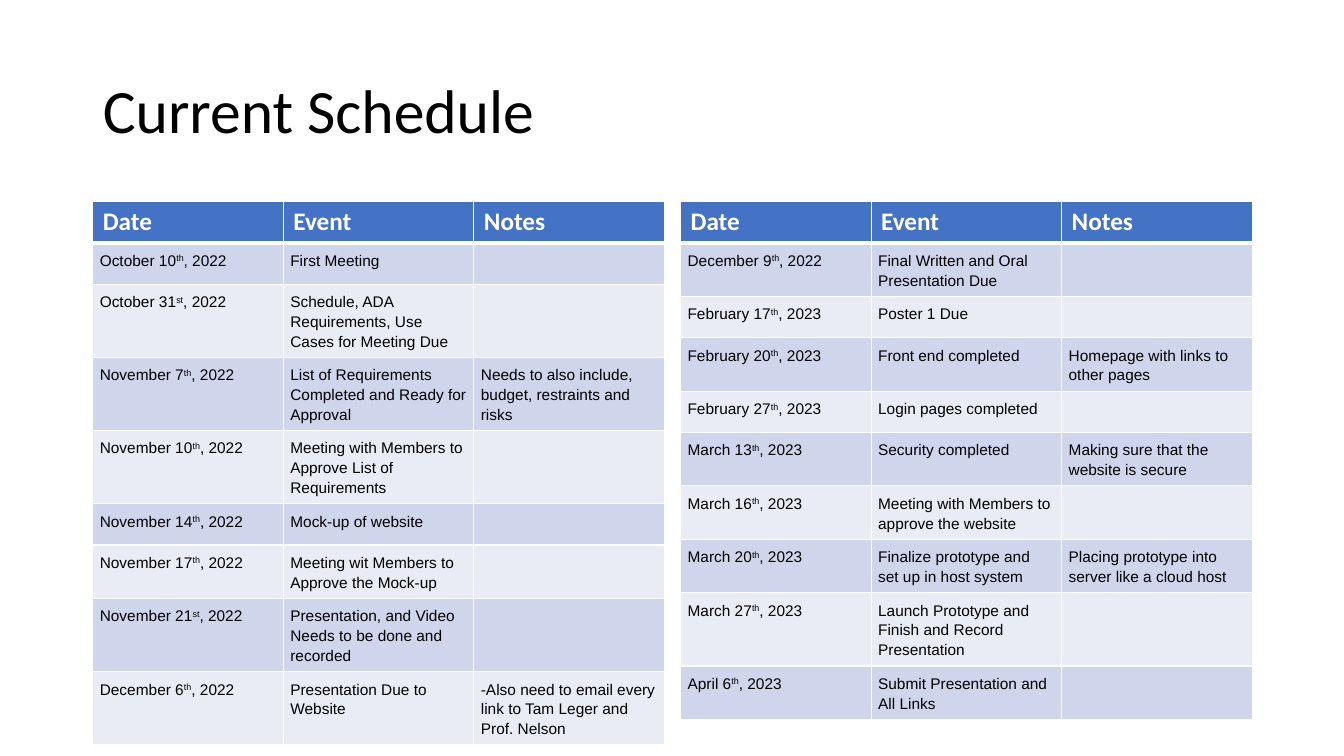
from pptx import Presentation, util as u
from pptx.dml.color import RGBColor
from pptx.enum import text
from pptx.oxml import parse_xml
from pptx.oxml.ns import nsdecls

THEME = {
    "head": "4472C4", "bands": ("CFD5EA", "E9EBF5"), "line": "FFFFFF",
    "title": {"name": "Calibri", "size": u.Pt(44), "color": "000000"},
    "label": {"name": "Calibri", "size": u.Pt(18), "bold": True, "color": "FFFFFF"},
    "body": {"name": "Arial", "size": u.Pt(11), "bold": False, "color": "000000"},
}
HEADS = ("Date", "Event", "Notes")
FALL = [
    ("October 10th, 2022", "First Meeting", ""),
    ("October 31st, 2022", "Schedule, ADA Requirements, Use Cases for Meeting Due", ""),
    ("November 7th, 2022", "List of Requirements Completed and Ready for Approval",
     "Needs to also include, budget, restraints and risks"),
    ("November 10th, 2022", "Meeting with Members to Approve List of Requirements", ""),
    ("November 14th, 2022", "Mock-up of website", ""),
    ("November 17th, 2022", "Meeting wit Members to Approve the Mock-up", ""),
    ("November 21st, 2022", "Presentation, and Video Needs to be done and recorded", ""),
    ("December 6th, 2022", "Presentation Due to Website",
     "-Also need to email every link to Tam Leger and Prof. Nelson"),
]
SPRING = [
    ("December 9th, 2022", "Final Written and Oral Presentation Due", ""),
    ("February 17th, 2023", "Poster 1 Due", ""),
    ("February 20th, 2023", "Front end completed", "Homepage with links to other pages"),
    ("February 27th, 2023", "Login pages completed", ""),
    ("March 13th, 2023", "Security completed", "Making sure that the website is secure"),
    ("March 16th, 2023", "Meeting with Members to approve the website", ""),
    ("March 20th, 2023", "Finalize prototype and set up in host system",
     "Placing prototype into server like a cloud host"),
    ("March 27th, 2023", "Launch Prototype and Finish and Record Presentation", ""),
    ("April 6th, 2023", "Submit Presentation and All Links", ""),
]


def assign(item, values):
    """Set each attribute of item from a dict."""
    for key, value in values.items():
        setattr(item, key, value)


def write(para, words, style, base=0):
    """Add a run in a theme style, raised by base percent."""
    run = para.add_run()
    run.text = words
    assign(run.font, {k: v for k, v in style.items() if k != "color"})
    run.font.color.rgb = RGBColor.from_string(style["color"])
    if base:
        run._r.get_or_add_rPr().set("baseline", str(base * 1000))


def paint(cell, fill, top=1, bottom=1):
    """Fill a cell and rule its four sides."""
    cell.fill.solid()
    cell.fill.fore_color.rgb = RGBColor.from_string(fill)
    sides = {"L": 1, "R": 1, "T": top, "B": bottom}
    for spot, (side, width) in enumerate(sides.items()):
        cell._tc.get_or_add_tcPr().insert(spot, parse_xml(
            f'<a:ln{side} {nsdecls("a")} w="{u.Pt(width)}"><a:solidFill>'
            f'<a:srgbClr val="{THEME["line"]}"/></a:solidFill></a:ln{side}>'))


def entry(cell, words, dated):
    """Write a body cell, raising the ordinal of a date."""
    sides = ("left", "right", "top", "bottom")
    assign(cell, {f"margin_{side}": u.Inches(0.07) for side in sides})
    para = cell.text_frame.paragraphs[0]
    para.line_spacing = 1.15
    if dated:
        day, year = words.split(",")
        parts = ((day[:-2], 0), (day[-2:], 30), ("," + year, 0))
    else:
        parts = ((words, 0),)
    for part, base in parts:
        write(para, part, THEME["body"], base)


def heading(slide, box, words):
    """Place and format the slide title."""
    title = slide.shapes.title
    assign(title, dict(zip(("left", "top", "width", "height"), map(u.Inches, box))))
    title.text_frame.vertical_anchor = text.MSO_ANCHOR.MIDDLE
    para = title.text_frame.paragraphs[0]
    assign(para, {"alignment": text.PP_ALIGN.LEFT, "line_spacing": 0.9})
    write(para, words, THEME["title"])


def schedule(slide, box, rows):
    """Draw one dated table with even columns in the box."""
    left, top, width, high = box
    count = len(rows) + 1
    frame = slide.shapes.add_table(
        count, len(HEADS), u.Inches(left), u.Inches(top),
        u.Inches(width), u.Inches(high * count))
    table = frame.table
    for col, label in enumerate(HEADS):
        cell = table.cell(0, col)
        paint(cell, THEME["head"], bottom=3)
        write(cell.text_frame.paragraphs[0], label, THEME["label"])
    for row, words in enumerate(rows, 1):
        for col, word in enumerate(words):
            cell = table.cell(row, col)
            paint(cell, THEME["bands"][(row - 1) % 2], top=3 if row == 1 else 1)
            if word:
                entry(cell, word, col == 0)


def build():
    """Build the schedule slide and save it."""
    deck = Presentation()
    assign(deck, {"slide_width": u.Inches(13.33), "slide_height": u.Inches(7.5)})
    slide = deck.slides.add_slide(deck.slide_layouts[5])
    heading(slide, (0.92, 0.4, 11.5, 1.45), "Current Schedule")
    for left, rows in ((0.92, FALL), (6.75, SPRING)):
        schedule(slide, (left, 2, 5.67, 0.41), rows)
    deck.save("out.pptx")


build()
